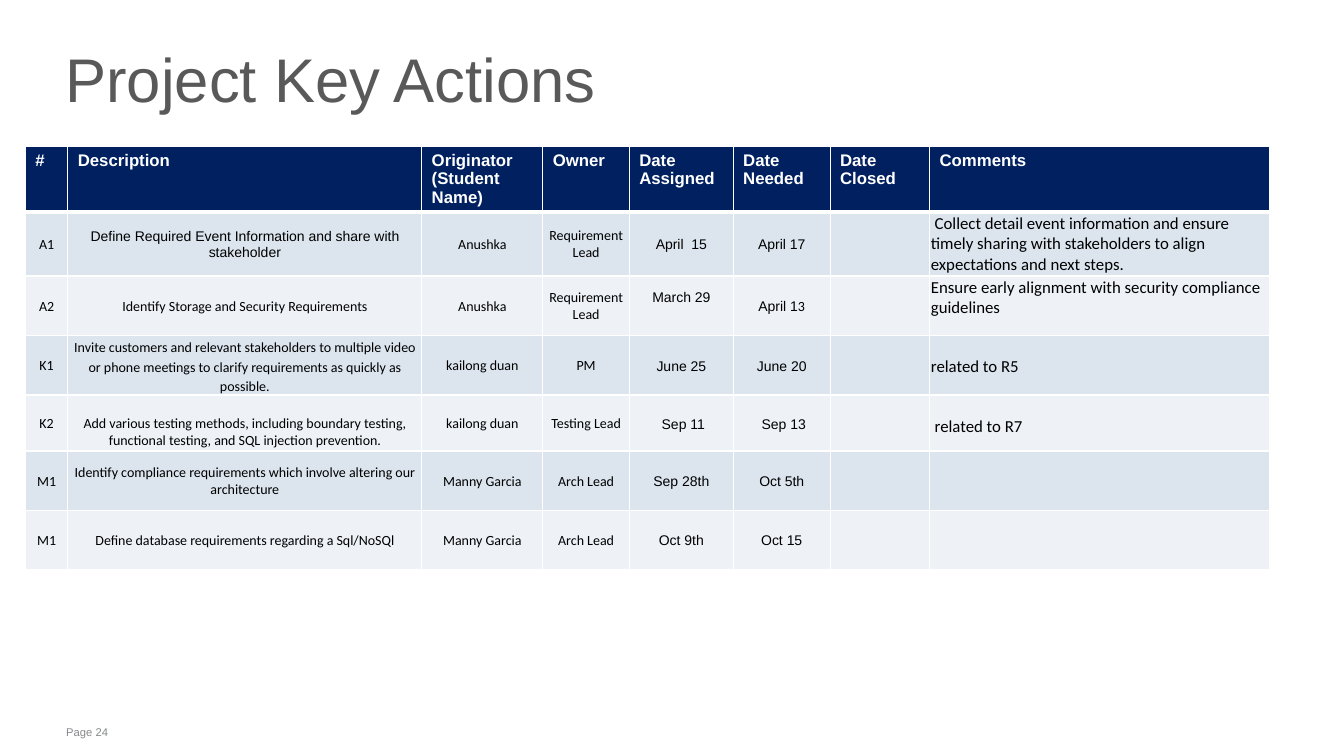
from lxml import etree
from pptx import Presentation
from pptx.dml.color import RGBColor
from pptx.enum.text import MSO_ANCHOR, PP_ALIGN
from pptx.oxml.ns import qn
from pptx.util import Cm, Pt

TOP, MIDDLE = MSO_ANCHOR.TOP, MSO_ANCHOR.MIDDLE
LEFT, CENTER = PP_ALIGN.LEFT, PP_ALIGN.CENTER

NAVY = RGBColor(0x00, 0x20, 0x60)
WHITE = RGBColor(0xFF, 0xFF, 0xFF)
BLACK = RGBColor(0x00, 0x00, 0x00)
SLATE = RGBColor(0x59, 0x59, 0x59)
GRAY = RGBColor(0x87, 0x88, 0x8A)
BANDS = (RGBColor(0xDC, 0xE5, 0xEE), RGBColor(0xEE, 0xF2, 0xF7))

HEAD = {"size": Pt(12), "name": "Arial", "bold": True}
BODY = {"size": Pt(10), "name": "Calibri", "bold": False}
DATE = {**BODY, "name": "Arial"}
NOTE = {**BODY, "size": Pt(12)}
STYLES = (BODY, BODY, BODY, BODY, DATE, DATE, DATE, NOTE)

WIDE = {"margin_left": Cm(0.25), "margin_right": Cm(0.25),
        "margin_top": Cm(0.1), "margin_bottom": Cm(0.02),
        "vertical_anchor": TOP}
TIGHT = {"margin_left": Cm(0.03), "margin_right": Cm(0.03),
         "margin_top": Cm(0.03), "margin_bottom": Cm(0),
         "vertical_anchor": MIDDLE}

COLS = (1.07, 8.92, 3.05, 2.18, 2.62, 2.44, 2.51, 8.56)
ROWS = (1.63, 1.61, 1.5, 1.5, 1.41, 1.5, 1.5)
NOTE_COL = 7

TITLES = ("#", "Description", "Originator\n(Student Name)", "Owner",
          "Date Assigned", "Date Needed", "Date Closed", "Comments")
ACTIONS = (
    ("A1", "Define Required Event Information and share with stakeholder",
     "Anushka", "Requirement Lead", "April  15", "April 17", "",
     " Collect detail event information and ensure timely sharing with "
     "stakeholders to align expectations and next steps."),
    ("A2", "Identify Storage and Security Requirements",
     "Anushka", "Requirement\nLead", "March 29", "April 1|3", "",
     "Ensure early alignment with security compliance guidelines"),
    ("K1", "Invite customers and relevant stakeholders to multiple video or "
     "phone meetings to clarify requirements as quickly as possible.",
     "kailong duan", "PM", "June 25", "June 20", "", "related to R5"),
    ("K2", "Add various testing methods, including boundary testing, "
     "functional testing, and SQL injection prevention.",
     "kailong duan", "Testing Lead", " Sep 11", " Sep 13", "",
     " related to R7"),
    ("M1", "Identify compliance requirements which involve altering our "
     "architecture", "Manny Garcia", "Arch Lead", "Sep 28th", "Oct 5th",
     "", ""),
    ("M1", "Define database requirements regarding a Sql/NoSQl",
     "Manny Garcia", "Arch Lead", "Oct 9th", "Oct 15", "", ""),
)

CELLS = {
    (1, 1): {"name": "Arial"},
    (2, 4): {"margin_bottom": Cm(0.43)},
    (3, 1): {"line_spacing": 1.15},
    (3, 4): {"line_spacing": 1.15},
    (3, 5): {"line_spacing": 1.15},
    (3, 7): {"margin_top": Cm(0.54)},
    (4, 1): {"margin_top": Cm(0.46)},
    (4, 4): {"line_spacing": 1.15},
    (4, 5): {"line_spacing": 1.15},
    (4, 7): {"margin_top": Cm(0.54)},
}


def apply(item, style):
    for key, value in style.items():
        setattr(item, key, value)


def write(frame, text, font, color, para):
    for num, line in enumerate(text.split("\n")):
        par = frame.paragraphs[0] if num == 0 else frame.add_paragraph()
        apply(par, para)
        for index, part in enumerate(line.split("|")):
            run = par.add_run()
            run.text = part
            apply(run.font, BODY if index else font)
            run.font.color.rgb = color


def edge(cell, sides):
    props = cell._tc.get_or_add_tcPr()
    for side, width in sides.items():
        line = etree.SubElement(props, qn(f"a:ln{side}"), w=str(Pt(width)))
        fill = etree.SubElement(line, qn("a:solidFill"))
        etree.SubElement(fill, qn("a:srgbClr"), val=str(WHITE))


def label(slide, box, text, font, color, frame, para):
    body = slide.shapes.add_textbox(*map(Cm, box)).text_frame
    apply(body, {"word_wrap": True, "margin_left": Cm(0.2),
                 "margin_right": Cm(0.2), **frame})
    write(body, text, font, color, para)


def fill_cell(cell, row, col, text):
    extra = CELLS.get((row, col), {})
    if row == 0:
        font, color, look, para, back = HEAD, WHITE, WIDE, {}, NAVY
    else:
        font, color, look = STYLES[col], BLACK, TIGHT
        para = {"alignment": LEFT if col == NOTE_COL else CENTER}
        back = BANDS[(row - 1) % 2]
        if col == NOTE_COL:
            look = {**TIGHT, "vertical_anchor": TOP}
    font = {key: extra.get(key, value) for key, value in font.items()}
    look = {key: extra.get(key, value) for key, value in look.items()}
    if "line_spacing" in extra:
        para = {**para, "line_spacing": extra["line_spacing"]}
    apply(cell, look)
    edge(cell, {"L": 1, "R": 1, "T": 3 if row == 1 else 1,
                "B": 3 if row == 0 else 1})
    cell.fill.solid()
    cell.fill.fore_color.rgb = back
    if text:
        write(cell.text_frame, text, font, color, para)


def grid(slide, left, top):
    data = (TITLES, *ACTIONS)
    table = slide.shapes.add_table(
        len(ROWS), len(COLS), Cm(left), Cm(top),
        Cm(sum(COLS)), Cm(sum(ROWS))).table
    apply(table, {"first_row": False, "horz_banding": False})
    for col, width in zip(table.columns, COLS):
        col.width = Cm(width)
    for row, height in zip(table.rows, ROWS):
        row.height = Cm(height)
    for row, texts in enumerate(data):
        for col, text in enumerate(texts):
            fill_cell(table.cell(row, col), row, col, text)


def main():
    deck = Presentation()
    apply(deck, {"slide_width": Cm(33.87), "slide_height": Cm(19.05)})
    slide = deck.slides.add_slide(deck.slide_layouts[6])
    label(slide, (1.47, 18.14, 27.41, 0.61), "Page 24",
          {"size": Pt(8), "name": "Arial"}, GRAY,
          {"margin_top": Cm(0.13), "margin_bottom": Cm(0.13)}, {})
    label(slide, (1.45, 0.66, 27.76, 3.02), "Project Key Actions",
          {"size": Pt(44), "name": "Arial"}, SLATE,
          {"margin_top": 0, "margin_bottom": 0, "vertical_anchor": MIDDLE},
          {"line_spacing": 0.75})
    grid(slide, 0.64, 3.7)
    deck.save("out.pptx")


if __name__ == "__main__":
    main()
